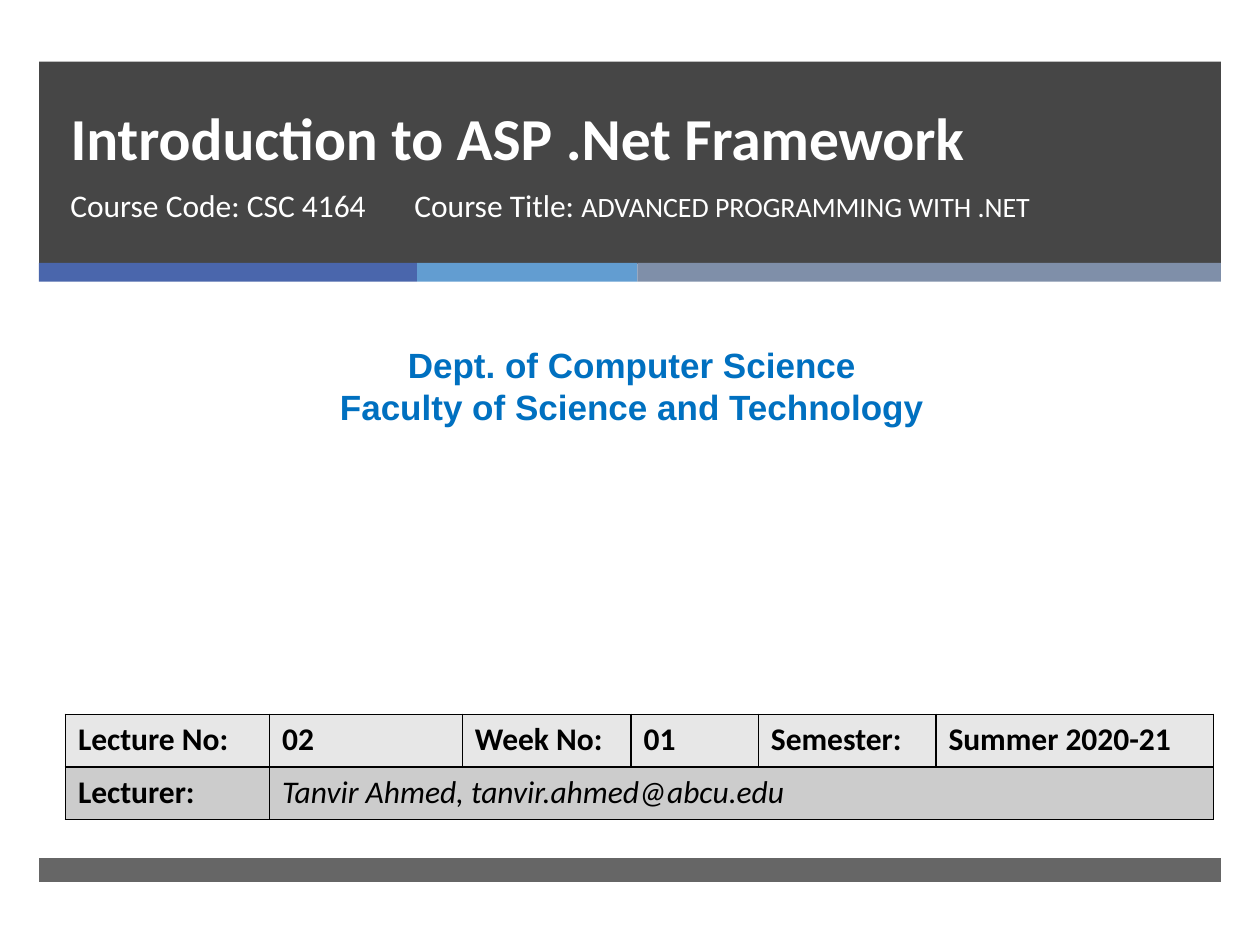
"""Builds the opening slide of a course lecture on ASP .Net."""
from lxml.etree import SubElement
from pptx import Presentation
from pptx.dml.color import RGBColor
from pptx.enum.shapes import MSO_SHAPE
from pptx.enum.text import MSO_ANCHOR as Anchor, MSO_AUTO_SIZE as AutoSize, PP_ALIGN as Align
from pptx.oxml.ns import qn
from pptx.util import Pt

WHITE = RGBColor(0xFF, 0xFF, 0xFF)
BLACK = RGBColor(0, 0, 0)
CHARCOAL = RGBColor(0x26, 0x26, 0x26)
INDIGO = RGBColor(0x4A, 0x66, 0xAC)
SKY = RGBColor(0x62, 0x9D, 0xD1)
SLATE = RGBColor(0x7F, 0x8F, 0xA9)
DEPT_BLUE = RGBColor(0x00, 0x70, 0xC0)
ROW_FILLS = [RGBColor(0xE7, 0xE7, 0xE7), RGBColor(0xCC, 0xCC, 0xCC)]

TITLE = "Introduction to ASP .Net Framework"
COURSE_CODE = "Course Code: CSC 4164"
COURSE_TITLE = [("Course Title: ", 18), ("ADVANCED PROGRAMMING WITH .NET", 16)]
DEPARTMENT = ["Dept. of Computer Science", "Faculty of Science and Technology"]
LECTURE_ROWS = [
    ["Lecture No:", "02", "Week No:", "01", "Semester:", "Summer 2020-21"],
    ["Lecturer:", "Tanvir Ahmed, tanvir.ahmed@abcu.edu"],
]
COLUMN_WIDTHS = [116.6, 110.2, 96.5, 72.7, 101.5, 158.7]
ROW_HEIGHT = 30
BAND_LEFT, BAND_WIDTH = 22.3, 675.4
STRIPES = [(INDIGO, 216), (SKY, 126), (SLATE, 333.4)]


def write(paragraph, text, size=18, font="Calibri", color=WHITE, bold=False,
          italic=False, align=Align.LEFT):
    """Adds one formatted run to a paragraph."""
    paragraph.alignment = align
    run = paragraph.add_run()
    run.text = text
    run.font.name, run.font.size = font, Pt(size)
    run.font.bold, run.font.italic = bold, italic
    run.font.color.rgb = color


def add_bar(left, top, width, height, color, opacity=100):
    """Adds a plain rectangle with optional transparency."""
    bar = slide.shapes.add_shape(MSO_SHAPE.RECTANGLE, Pt(left), Pt(top), Pt(width), Pt(height))
    bar.shadow.inherit = False
    bar.line.fill.background()
    bar.fill.solid()
    bar.fill.fore_color.rgb = color
    if opacity < 100:
        tint = bar._element.spPr.find(".//" + qn("a:srgbClr"))
        SubElement(tint, qn("a:alpha"), val=str(opacity * 1000))


def add_frame(left, top, width, height):
    """Adds a wrapping text box and returns its text frame."""
    frame = slide.shapes.add_textbox(Pt(left), Pt(top), Pt(width), Pt(height)).text_frame
    frame.word_wrap = True
    return frame


def style_cell(cell, fill):
    """Gives a cell thin black borders and a solid fill."""
    properties = cell._tc.get_or_add_tcPr()
    for side in ("lnL", "lnR", "lnT", "lnB"):
        border = SubElement(properties, qn("a:" + side), w=str(Pt(1)))
        SubElement(SubElement(border, qn("a:solidFill")), qn("a:srgbClr"), val=str(BLACK))
    cell.fill.solid()
    cell.fill.fore_color.rgb = fill
    cell.vertical_anchor = Anchor.TOP


deck = Presentation()
deck.slide_width, deck.slide_height = Pt(720), Pt(540)
slide = deck.slides.add_slide(deck.slide_layouts[5])

add_bar(BAND_LEFT, 35.2, BAND_WIDTH, 115.6, CHARCOAL, opacity=85)
stripe_left = BAND_LEFT
for stripe_color, stripe_width in STRIPES:
    add_bar(stripe_left, 150.2, stripe_width, 10.8, stripe_color)
    stripe_left += stripe_width
add_bar(BAND_LEFT, 490.3, BAND_WIDTH, 13.7, CHARCOAL, opacity=70)

title = slide.shapes.title
title.left, title.top, title.width, title.height = Pt(33.1), Pt(35.3), Pt(603.4), Pt(67)
title.text_frame.auto_size = AutoSize.NONE
title.text_frame.vertical_anchor = Anchor.BOTTOM
title.text_frame.paragraphs[0].line_spacing = Pt(46)
write(title.text_frame.paragraphs[0], TITLE, size=34, bold=True)
slide.shapes._spTree.append(title._element)

write(add_frame(33.1, 103, 223.9, 55.4).paragraphs[0], COURSE_CODE)
course_title = add_frame(229.7, 103, 399.6, 56.2).paragraphs[0]
for words, size in COURSE_TITLE:
    write(course_title, words, size=size)

department = add_frame(5.8, 193, 710.6, 55.4)
for number, line in enumerate(DEPARTMENT):
    paragraph = department.add_paragraph() if number else department.paragraphs[0]
    write(paragraph, line, size=20, font="Arial", color=DEPT_BLUE, bold=True, align=Align.CENTER)

lecture = slide.shapes.add_table(
    len(LECTURE_ROWS), len(COLUMN_WIDTHS), Pt(37.4), Pt(408.2),
    Pt(sum(COLUMN_WIDTHS)), Pt(ROW_HEIGHT * len(LECTURE_ROWS))).table
for column, width in zip(lecture.columns, COLUMN_WIDTHS):
    column.width = Pt(width)
lecture.cell(1, 1).merge(lecture.cell(1, 5))
for r, (row, fill) in enumerate(zip(LECTURE_ROWS, ROW_FILLS)):
    lecture.rows[r].height = Pt(ROW_HEIGHT)
    for cell in lecture.rows[r].cells:
        style_cell(cell, fill)
    for c, words in enumerate(row):
        is_lecturer = (r, c) == (1, 1)
        write(lecture.cell(r, c).text_frame.paragraphs[0], words, color=BLACK,
              bold=not is_lecturer, italic=is_lecturer)

deck.save("out.pptx")
